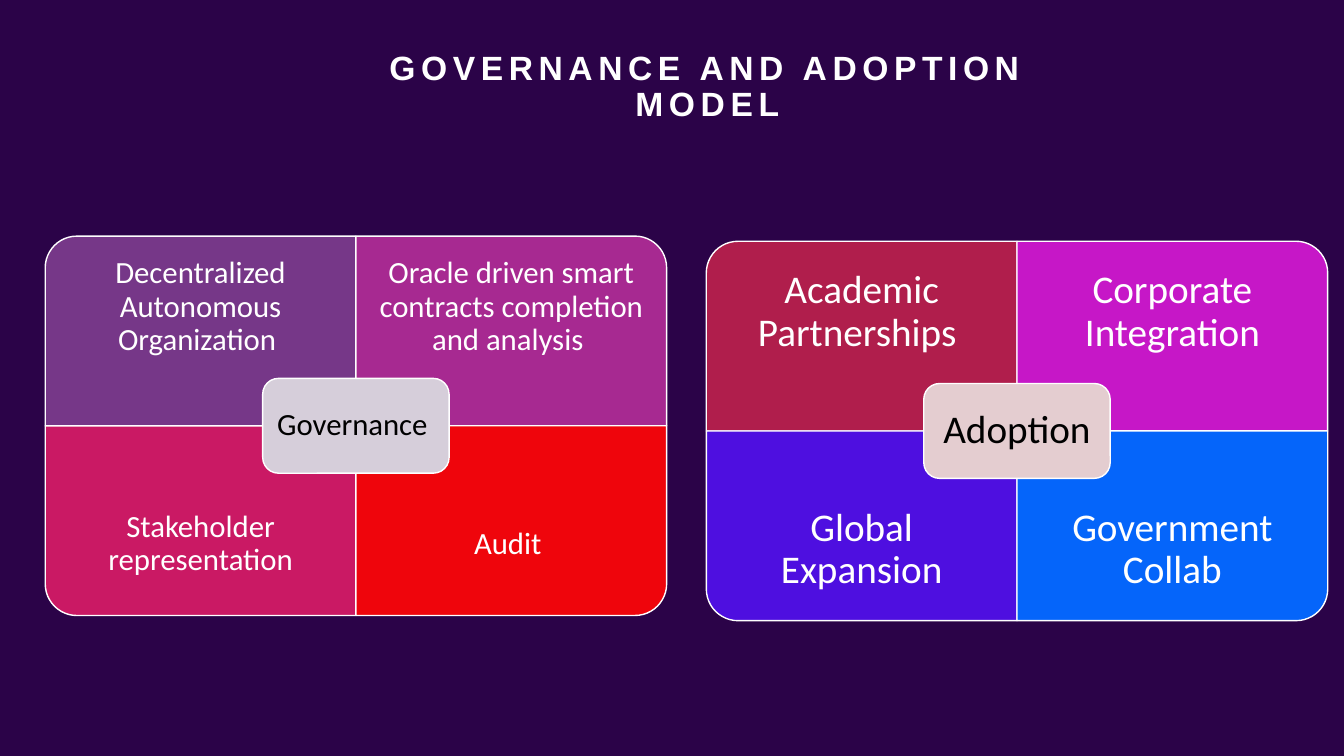
from pptx import Presentation
from pptx.dml.color import RGBColor
from pptx.enum.shapes import MSO_SHAPE
from pptx.enum.text import MSO_ANCHOR, PP_ALIGN
from pptx.util import Cm, Pt

COLORS = {
    "back": "2B0348", "white": "FFFFFF", "black": "000000",
    "violet": "763788", "plum": "A72991", "rose": "CA1964", "red": "EF050C",
    "wine": "B01E4C", "pink": "C617C7", "indigo": "4E0FE0", "blue": "0565FA",
    "lilac": "D6CEDA", "blush": "E4CDD0",
}
CELL_W, CELL_H = 7.83, 4.78
TEXT_H = CELL_H * 0.75
HUB_W, HUB_H = CELL_W * 0.6, CELL_H / 2
TURNS = [270, 0, 180, 90]  # puts the round corner on the outside

# left, top, text size, cell inset, hub inset, hub text, hub fill, cells
PANELS = [
    (17.8, 6.08, 28, 0.56, 0.3, "Adoption", "blush", [
        ("Academic Partnerships ", "wine"),
        ("Corporate Integration", "pink"),
        ("Global Expansion", "indigo"),
        ("Government Collab", "blue"),
    ]),
    (1.14, 5.95, 22, 0.43, 0.23, "Governance ", "lilac", [
        ("Decentralized Autonomous Organization ", "violet"),
        ("Oracle driven smart contracts completion and analysis ", "plum"),
        ("Stakeholder representation", "rose"),
        ("Audit ", "red"),
    ]),
]


def paint(shape, fill):
    """Give a shape a flat fill and a thin white outline."""
    shape.shadow.inherit = False
    shape.fill.solid()
    shape.fill.fore_color.rgb = RGBColor.from_string(COLORS[fill])
    shape.line.color.rgb = RGBColor.from_string(COLORS["white"])
    shape.line.width = Pt(1)


def write(shape, text, size, color, inset, face="Calibri"):
    """Set one centred run in a shape and return the run."""
    frame = shape.text_frame
    frame.word_wrap = True
    frame.vertical_anchor = MSO_ANCHOR.MIDDLE
    frame.margin_left = frame.margin_right = Cm(inset)
    frame.margin_top = frame.margin_bottom = Cm(inset)
    para = frame.paragraphs[0]
    para.alignment = PP_ALIGN.CENTER
    para.line_spacing = 0.9
    run = para.add_run()
    run.text = text
    run.font.name = face
    run.font.size = Pt(size)
    run.font.color.rgb = RGBColor.from_string(COLORS[color])
    return run


deck = Presentation()
deck.slide_width, deck.slide_height = Cm(33.87), Cm(19.05)
slide = deck.slides.add_slide(deck.slide_layouts[6])
slide.background.fill.solid()
slide.background.fill.fore_color.rgb = RGBColor.from_string(COLORS["back"])

title = slide.shapes.add_textbox(Cm(7.65), Cm(1.09), Cm(20.35), Cm(1.24))
run = write(title, "GOVERNANCE AND ADOPTION MODEL", 24, "white", 0.2, "Arial")
run.font.bold = True
run._r.get_or_add_rPr().set("spc", "400")
title.text_frame.vertical_anchor = MSO_ANCHOR.TOP

for left, top, size, inset, hub_inset, name, hub_fill, cells in PANELS:
    group = slide.shapes.add_group_shape()
    for i, ((text, fill), turn) in enumerate(zip(cells, TURNS)):
        row, col = divmod(i, 2)
        x, y = left + col * CELL_W, top + row * CELL_H
        # A quarter turn swaps width and height about the same centre
        wide, high = (CELL_H, CELL_W) if turn % 180 else (CELL_W, CELL_H)
        cell = group.shapes.add_shape(
            MSO_SHAPE.ROUND_1_RECTANGLE,
            Cm(x + (CELL_W - wide) / 2), Cm(y + (CELL_H - high) / 2),
            Cm(wide), Cm(high))
        cell.rotation = turn
        paint(cell, fill)
        label = group.shapes.add_textbox(
            Cm(x), Cm(y + row * (CELL_H - TEXT_H)), Cm(CELL_W), Cm(TEXT_H))
        write(label, text, size, "white", inset)
    hub = group.shapes.add_shape(
        MSO_SHAPE.ROUNDED_RECTANGLE,
        Cm(left + CELL_W - HUB_W / 2), Cm(top + CELL_H - HUB_H / 2),
        Cm(HUB_W), Cm(HUB_H))
    paint(hub, hub_fill)
    write(hub, name, size, "black", hub_inset)

deck.save("out.pptx")
